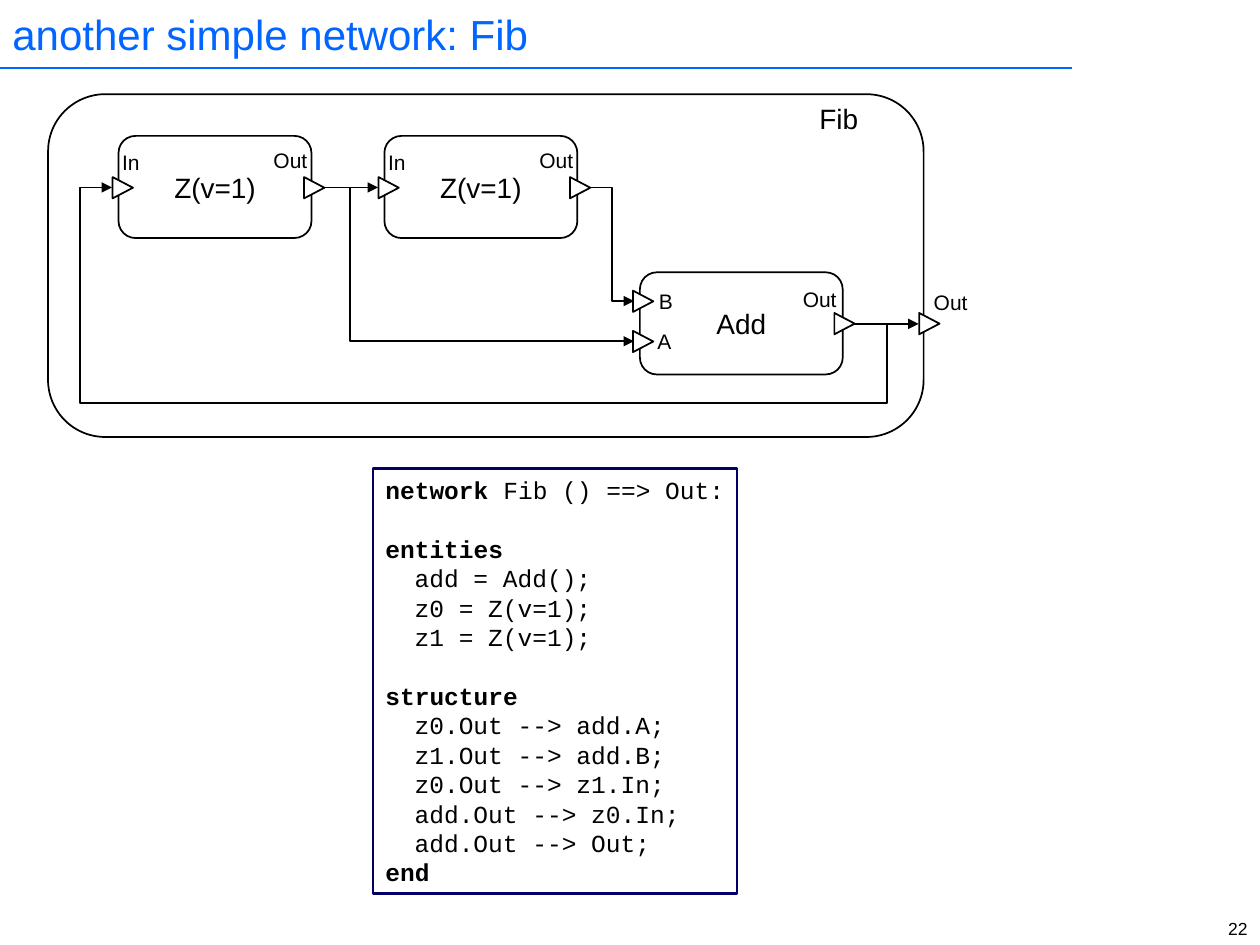
from pptx import Presentation
from pptx.dml.color import RGBColor
from pptx.enum.shapes import MSO_CONNECTOR, MSO_SHAPE
from pptx.enum.text import MSO_ANCHOR, PP_ALIGN
from pptx.oxml.ns import qn
from pptx.util import Cm, Pt
from lxml.etree import SubElement

BLACK = RGBColor(0x00, 0x00, 0x00)
WHITE = RGBColor(0xFF, 0xFF, 0xFF)
BLUE = RGBColor(0x00, 0x66, 0xFF)
NAVY = RGBColor(0x00, 0x00, 0x66)

deck = Presentation()
deck.slide_width, deck.slide_height = Cm(25.4), Cm(19.05)
page = deck.slides.add_slide(deck.slide_layouts[6])


def write(box, lines, size=12, font="Arial", color=BLACK, align=PP_ALIGN.CENTER,
          anchor=MSO_ANCHOR.TOP, wrap=False, spacing=None):
    """Fill a box with lines; each line is a list of (text, bold) spans."""
    frame = box.text_frame
    frame.word_wrap = wrap
    frame.vertical_anchor = anchor
    for index, line in enumerate(lines):
        para = frame.add_paragraph() if index else frame.paragraphs[0]
        para.alignment = align
        para.line_spacing = spacing
        for text, bold in line:
            span = para.add_run()
            span.text = text
            span.font.size = Pt(size)
            span.font.name = font
            span.font.bold = bold
            span.font.color.rgb = color


def draw(kind, left, top, width, height, fill=None, line=BLACK, weight=1):
    """Add a preset shape with a plain outline, placed in centimetres."""
    shape = page.shapes.add_shape(kind, Cm(left), Cm(top), Cm(width), Cm(height))
    shape.shadow.inherit = False
    if fill is None:
        shape.fill.background()
    else:
        shape.fill.solid()
        shape.fill.fore_color.rgb = fill
    shape.line.color.rgb = line
    shape.line.width = Pt(weight)
    return shape


# Title and the rule below it
title = page.shapes.add_textbox(Cm(0), Cm(0), Cm(21.97), Cm(1.35))
write(title, [[("another simple network: Fib", False)]], size=24, color=BLUE,
      align=PP_ALIGN.LEFT, anchor=MSO_ANCHOR.MIDDLE, wrap=True)
rule = page.shapes.add_connector(MSO_CONNECTOR.STRAIGHT, Cm(0), Cm(1.37), Cm(21.62), Cm(1.37))
rule.line.color.rgb = BLUE
rule.line.width = Pt(1)
SubElement(rule._element.spPr, qn("a:effectLst"))

# Network outline and its entities
draw(MSO_SHAPE.ROUNDED_RECTANGLE, 0.97, 1.9, 17.65, 6.91)
Z_LEFTS = [2.39, 7.75]
entities = [("Z(v=1)", left, 2.74, 3.89) for left in Z_LEFTS] + [("Add", 12.9, 5.49, 4.09)]
for name, left, top, width in entities:
    entity = draw(MSO_SHAPE.ROUNDED_RECTANGLE, left, top, width, 2.06)
    write(entity, [[(name, False)]], size=16, anchor=MSO_ANCHOR.MIDDLE, wrap=True)

# Ports
ports = [(12.75, 6.68), (12.75, 5.87), (16.81, 6.32), (18.52, 6.32)]
for left in Z_LEFTS:
    ports += [(left - 0.13, 3.58), (left + 3.73, 3.58)]
for left, top in ports:
    port = draw(MSO_SHAPE.ISOSCELES_TRIANGLE, left, top, 0.43, 0.41, fill=WHITE)
    port.rotation = 90

# Port and network labels: text, left, top, width, height, size
labels = [
    ("B", 13.03, 5.69, 0.79, 0.76, 12),
    ("A", 13.0, 6.5, 0.79, 0.76, 12),
    ("Out", 15.93, 5.66, 1.19, 0.76, 12),
    ("Out", 18.57, 5.72, 1.19, 0.76, 12),
    ("Fib", 16.26, 1.93, 1.3, 0.94, 16),
]
for left in Z_LEFTS:
    labels += [("In", left - 0.18, 2.9, 0.86, 0.76, 12),
               ("Out", left + 2.87, 2.84, 1.19, 0.76, 12)]
for text, left, top, width, height, size in labels:
    label = page.shapes.add_textbox(Cm(left), Cm(top), Cm(width), Cm(height))
    write(label, [[(text, False)]], size=size)

# Wires: start, end, bend positions in thousandths of the span
wires = [
    ((17.22, 6.53), (18.52, 6.53), [494]),
    ((17.25, 6.53), (2.26, 3.78), [-42, -581, 1043]),
    ((6.53, 3.78), (7.62, 3.78), [494]),
    ((11.91, 3.78), (12.78, 6.07), [492]),
    ((6.53, 3.78), (12.78, 6.88), [84]),
]
for start, end, bends in wires:
    wire = page.shapes.add_connector(MSO_CONNECTOR.ELBOW, *map(Cm, start + end))
    wire.line.color.rgb = BLACK
    wire.line.width = Pt(1)
    properties = wire._element.spPr
    geometry = properties.find(qn("a:prstGeom"))
    geometry.set("prst", f"bentConnector{len(bends) + 2}")
    guides = geometry.find(qn("a:avLst"))
    for number, bend in enumerate(bends, 1):
        SubElement(guides, qn("a:gd"), name=f"adj{number}", fmla=f"val {bend * 100}")
    SubElement(properties.find(qn("a:ln")), qn("a:tailEnd"), type="triangle")
    SubElement(properties, qn("a:effectLst"))

# Source code of the network
LINE_PITCH = Pt(16.8)
sections = [
    ("entities", ["add = Add();", "z0 = Z(v=1);", "z1 = Z(v=1);"]),
    ("structure", ["z0.Out --> add.A;", "z1.Out --> add.B;", "z0.Out --> z1.In;",
                   "add.Out --> z0.In;", "add.Out --> Out;"]),
]
code = [[("network ", True), ("Fib () ==> Out:", False)]]
for keyword, statements in sections:
    code.append([(keyword, True)])
    code += [[(statement, False)] for statement in statements]
code.append([("end", True)])

listing = draw(MSO_SHAPE.RECTANGLE, 7.52, 9.45, 7.34, 8.56, fill=WHITE, line=NAVY, weight=1.5)
write(listing, code, size=14, font="Courier New", align=PP_ALIGN.LEFT, spacing=LINE_PITCH)
for para in listing.text_frame.paragraphs:
    if para.text in dict(sections):
        para.space_before = LINE_PITCH
    elif not para.runs[0].font.bold:
        para._p.get_or_add_pPr().set("marL", str(Cm(0.59)))

# Slide number
number_box = page.shapes.add_textbox(Cm(23.04), Cm(18.39), Cm(2.36), Cm(0.58))
write(number_box, [[("22", False)]], size=10, align=PP_ALIGN.RIGHT, wrap=True)

deck.save("out.pptx")
